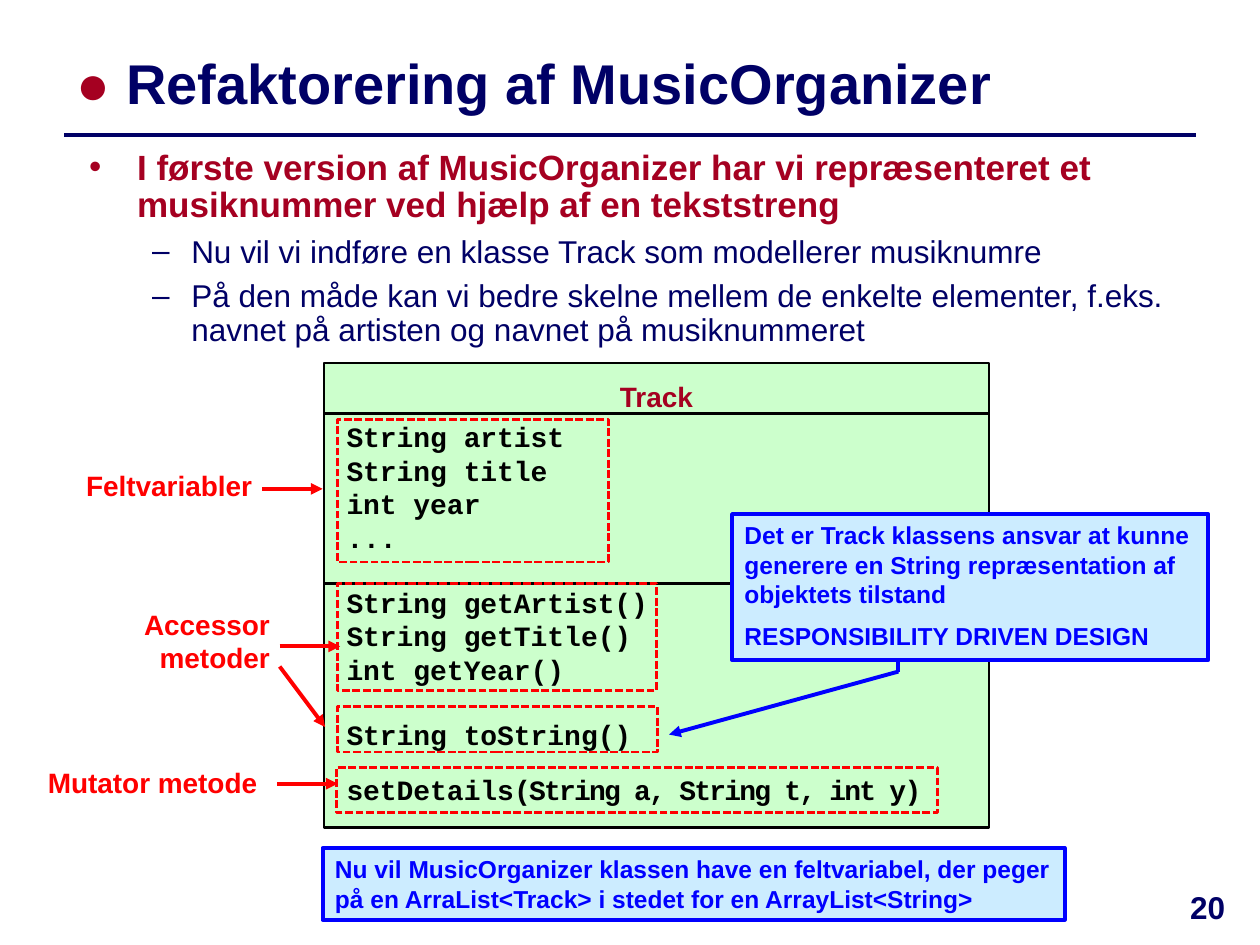
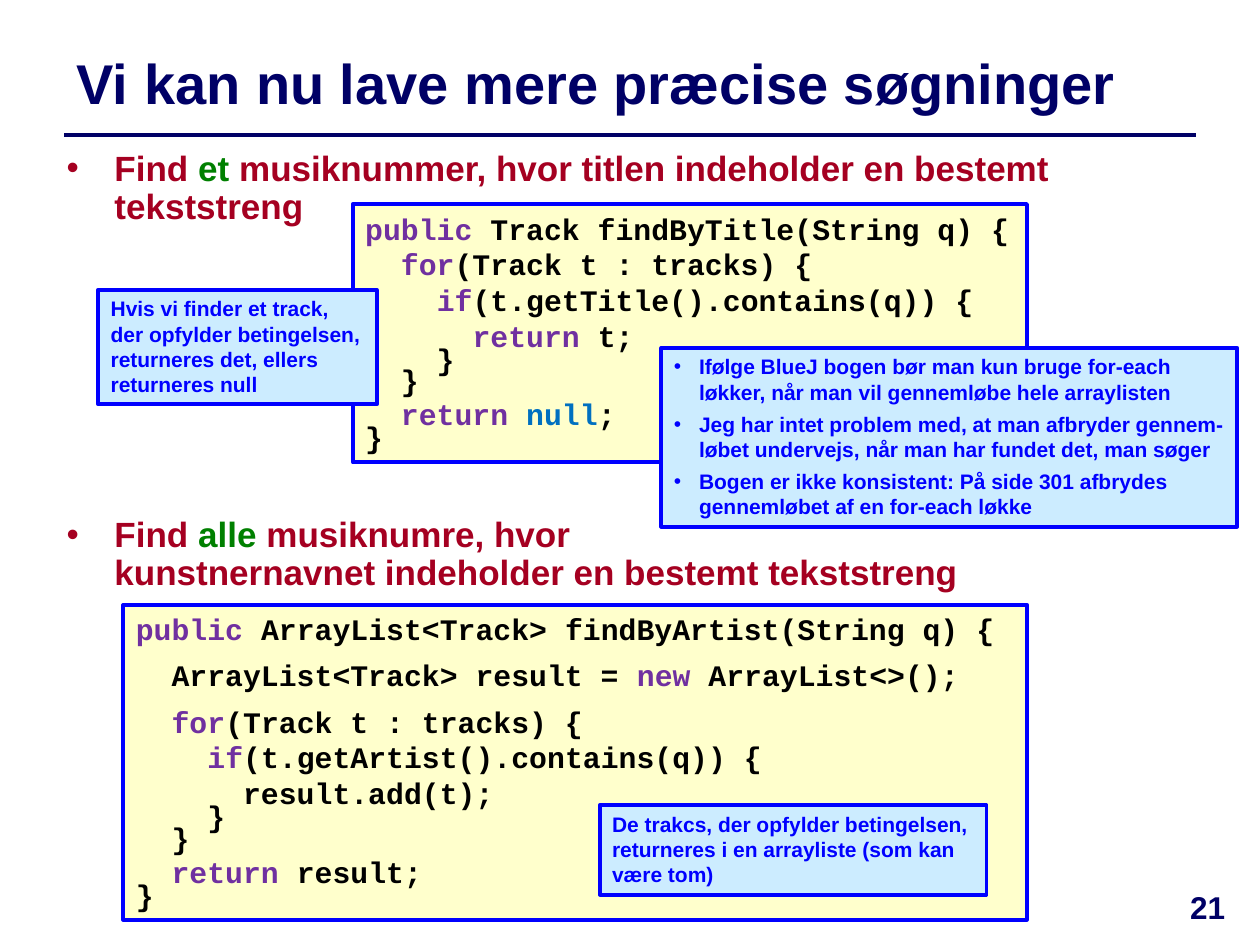
from dataclasses import dataclass

from lxml.etree import SubElement
from pptx import Presentation
from pptx.dml.color import RGBColor
from pptx.enum.dml import MSO_LINE
from pptx.enum.shapes import MSO_CONNECTOR, MSO_SHAPE
from pptx.enum.text import MSO_ANCHOR, PP_ALIGN
from pptx.oxml.ns import qn
from pptx.util import Inches, Pt

COLORS = {
    "navy": "000066", "crimson": "A50021", "green": "008000",
    "black": "000000", "red": "FF0000", "blue": "0000FF",
    "class": "CCFFCC", "code": "FFFFCC", "callout": "CCECFF",
    "keyword": "7030A0", "literal": "0070C0",
}
# Pieces of text between bars that take their own colour
ACCENTS = {
    "●": "crimson", "et": "green", "alle": "green", "null": "literal",
    **dict.fromkeys(["public", "for", "if", "return", "new"], "keyword"),
}

# The slide is a grid of 100 columns and 75 rows
SLIDE_WIDTH, SLIDE_HEIGHT = Inches(10), Inches(7.5)
COLUMN, ROW = SLIDE_WIDTH / 100, SLIDE_HEIGHT / 75


@dataclass
class Box:
    """A region in columns and rows."""
    left: float
    top: float
    width: float
    height: float

    def inner(self, left, top, width, height):
        return Box(self.left + left, self.top + top, width, height)

    def point(self, column, row):
        return round((self.left + column) * COLUMN), round((self.top + row) * ROW)

    def frame(self):
        return (*self.point(0, 0), round(self.width * COLUMN), round(self.height * ROW))


@dataclass
class Style:
    """Look of one paragraph; hang and indent are in columns."""
    size: float
    color: str
    bold: bool = True
    font: str = "Arial"
    align: PP_ALIGN = PP_ALIGN.LEFT
    spacing: float = 1.0
    before: float = 0
    bullet: str = ""
    indent: float = 0
    hang: float = 0


TITLE = Style(32, "navy")
NUMBER = Style(18, "navy", align=PP_ALIGN.CENTER)
HEADING = Style(20, "crimson", spacing=0.9, bullet="•", indent=3.8, hang=3.8)
DETAIL = Style(18, "navy", bold=False, spacing=0.9, before=6, bullet="–", indent=8.1, hang=3.1)
LABEL = Style(16, "red", align=PP_ALIGN.RIGHT)
CLASS_NAME = Style(16, "crimson", align=PP_ALIGN.CENTER, spacing=1.3)
CALLOUT = Style(14, "blue", before=7)
NOTE = Style(12, "blue", before=4)
NOTE_LIST = Style(12, "blue", before=4, bullet="•", indent=2, hang=2)


def member_style(before=0):
    return Style(16, "black", font="Courier New", before=before)


def code_style(line, before=0):
    spacing = 0.6 if line.strip() == "}" else 1.0
    return Style(17, "black", font="Courier New", spacing=spacing, before=before)


def rgb(name):
    return RGBColor.from_string(COLORS[name])


def add_bullet(paragraph, style):
    properties = paragraph._p.get_or_add_pPr()
    properties.set("marL", str(round(style.indent * COLUMN)))
    properties.set("indent", str(round(-style.hang * COLUMN)))
    SubElement(properties, qn("a:buFont")).set("typeface", "Arial")
    SubElement(properties, qn("a:buChar")).set("char", style.bullet)


def write(shape, paragraphs, anchor=MSO_ANCHOR.TOP):
    """Fill a shape with (text, style) pairs, run by run."""
    text_frame = shape.text_frame
    text_frame.word_wrap = True
    text_frame.vertical_anchor = anchor
    for index, (text, style) in enumerate(paragraphs):
        paragraph = text_frame.add_paragraph() if index else text_frame.paragraphs[0]
        if style.bullet:
            add_bullet(paragraph, style)
        paragraph.alignment = style.align
        paragraph.line_spacing = style.spacing
        paragraph.space_before = Pt(style.before if index else 0)
        for line_index, line in enumerate(text.split("\n")):
            if line_index:
                paragraph.add_line_break()
            for piece in filter(None, line.split("|")):
                run = paragraph.add_run()
                run.text = piece
                run.font.name = style.font
                run.font.size = Pt(style.size)
                run.font.bold = style.bold
                run.font.color.rgb = rgb(ACCENTS.get(piece.strip(), style.color))


def add_text(slide, box, paragraphs, anchor=MSO_ANCHOR.TOP):
    write(slide.shapes.add_textbox(*box.frame()), paragraphs, anchor)


def add_panel(slide, box, paragraphs=(), fill=None, line="blue", weight=2.25):
    """Rectangle with text, or a dashed outline when it has no fill."""
    shape = slide.shapes.add_shape(MSO_SHAPE.RECTANGLE, *box.frame())
    shape.shadow.inherit = False
    shape.line.color.rgb = rgb(line)
    shape.line.width = Pt(weight)
    if fill:
        shape.fill.solid()
        shape.fill.fore_color.rgb = rgb(fill)
    else:
        shape.fill.background()
        shape.line.dash_style = MSO_LINE.SQUARE_DOT
    write(shape, paragraphs)
    return shape


def add_line(slide, start, end, color, weight=2.25, arrow=False):
    connector = slide.shapes.add_connector(MSO_CONNECTOR.STRAIGHT, *start, *end)
    connector.line.color.rgb = rgb(color)
    connector.line.width = Pt(weight)
    if arrow:
        outline = connector._element.spPr.find(qn("a:ln"))
        SubElement(outline, qn("a:tailEnd")).set("type", "triangle")
    SubElement(connector._element.spPr, qn("a:effectLst"))


def add_base_slide(presentation, title, number):
    """Blank slide with title, rule and slide number."""
    slide = presentation.slides.add_slide(presentation.slide_layouts[6])
    page = Box(0, 0, 100, 75)
    add_line(slide, page.point(5.1, 10.7), page.point(94.9, 10.7), "navy", 2)
    add_text(slide, page.inner(5.1, 2.8, 93.1, 7.5), [(title, TITLE)], MSO_ANCHOR.MIDDLE)
    add_text(slide, page.inner(91.7, 70, 8.3, 5), [(str(number), NUMBER)])
    return slide


def add_class_diagram(slide, box):
    """Track class with dashed member groups and their labels."""
    class_left, class_width = 23.7, 52.8
    add_panel(slide, box.inner(class_left, 0.8, class_width, 5.1),
              [("Track", CLASS_NAME)], "class", "black", 1.5)
    members = [
        ("String artist", 0), ("String title", 0), ("int year", 0), ("...", 0),
        ("String getArtist()", 18), ("String getTitle()", 0), ("int getYear()", 0),
        ("String toString()", 18), ("setDetails|(String a, String t, int y)", 12),
    ]
    body = add_panel(slide, box.inner(class_left, 4.8, class_width, 32.9),
                     [(text, member_style(before)) for text, before in members],
                     "class", "black", 1.5)
    body.text_frame.margin_left = round(1.8 * COLUMN)
    parameters = body.text_frame.paragraphs[-1].runs[-1]
    parameters._r.get_or_add_rPr().set("spc", "-100")
    add_line(slide, box.point(class_left, 18.3),
             box.point(class_left + class_width, 18.3), "black", 1.5)

    # Dashed outlines: fields, accessors, toString, mutator
    for outline in [(24.8, 5.3, 21.5, 11.3), (24.8, 18.3, 25.3, 8.5),
                    (24.8, 28.1, 25.4, 3.6), (24.7, 32.9, 47.7, 3.6)]:
        add_panel(slide, box.inner(*outline), line="red", weight=1.5)

    # Labels and arrows
    for text, place in [("Feltvariabler", (3.1, 8.7, 15.9, 3.7)),
                        ("Accessor metoder", (3.1, 19.7, 17.3, 6.4)),
                        ("Mutator metode", (0.2, 32.3, 19.2, 3.7))]:
        add_text(slide, box.inner(*place), [(text, LABEL)])
    for start, end in [((18.8, 10.8), (23.6, 10.8)), ((20.2, 23.3), (25, 23.3)),
                       ((20.2, 24.9), (23.8, 29.7)), ((20, 34.2), (24.8, 34.2))]:
        add_line(slide, box.point(*start), box.point(*end), "red", arrow=True)


def add_responsibility_callout(slide, box):
    """Callout whose bent pointer leads to toString."""
    bend = box.point(18.3, 12.5)
    add_line(slide, bend, box.point(0.1, 17.5), "blue", arrow=True)
    add_line(slide, box.point(18.3, 6.7), bend, "blue")
    add_panel(slide, box.inner(5.1, 0, 37.8, 11.6), [
        ("Det er Track klassens ansvar at kunne generere en String "
         "repræsentation af objektets tilstand", CALLOUT),
        ("RESPONSIBILITY DRIVEN DESIGN", CALLOUT),
    ], "callout")


def add_search(slide, box, heading, code_place, code, notes):
    """Heading, code panel and the notes lying on top of it."""
    add_text(slide, box, [(heading, HEADING)])
    add_panel(slide, box.inner(*code_place),
              [(line, code_style(line, before)) for line, before in code], "code")
    for place, style, texts in notes:
        add_panel(slide, box.inner(*place), [(text, style) for text in texts], "callout")


def build_refactoring_slide(presentation):
    slide = add_base_slide(presentation, "● |Refaktorering af MusicOrganizer", 20)
    add_text(slide, Box(6.1, 11.4, 94.1, 16.6), [
        ("I første version af MusicOrganizer har vi repræsenteret et "
         "musiknummer ved hjælp af en tekststreng", HEADING),
        ("Nu vil vi indføre en klasse Track som modellerer musiknumre", DETAIL),
        ("På den måde kan vi bedre skelne mellem de enkelte elementer, f.eks. "
         "navnet på artisten og navnet på musiknummeret", DETAIL),
    ])
    add_class_diagram(slide, Box(2, 28, 76.5, 38))
    add_responsibility_callout(slide, Box(53, 40.8, 43, 17.6))
    add_panel(slide, Box(25.6, 67.3, 58.9, 5.7), [
        ("Nu vil MusicOrganizer klassen have en feltvariabel, der peger på en "
         "ArraList<Track> i stedet for en ArrayList<String>", CALLOUT),
    ], "callout")


def build_search_slide(presentation):
    slide = add_base_slide(presentation, "Vi kan nu lave mere præcise søgninger", 21)

    # All tracks by artist
    add_search(
        slide, Box(4.3, 40.6, 81.1, 6.3),
        "Find |alle| musiknumre, hvor\nkunstnernavnet indeholder en bestemt tekststreng",
        (5.5, 7.4, 71.7, 25),
        [("|public| ArrayList<Track> findByArtist(String q) {", 0),
         ("  ArrayList<Track> result = |new| ArrayList<>();", 6),
         ("  |for|(Track t : tracks) {", 6),
         ("    |if|(t.getArtist().contains(q)) {", 0),
         ("      result.add(t);", 0),
         ("    }", 0),
         ("  }", 0),
         ("  |return| result;", 0),
         ("}", 0)],
        [((43.3, 23.3, 30.7, 7.1), NOTE,
          ["De trakcs, der opfylder betingelsen, returneres i en arrayliste "
           "(som kan være tom)"])])

    # One track by title
    add_search(
        slide, Box(4.3, 11.5, 94.9, 8.7),
        "Find |et| musiknummer, hvor titlen indeholder en bestemt tekststreng",
        (23.7, 4.7, 53.5, 20.5),
        [("|public| Track findByTitle(String q) {", 0),
         ("  |for|(Track t : tracks) {", 0),
         ("    |if|(t.getTitle().contains(q)) {", 0),
         ("      |return| t;", 0),
         ("    }", 0),
         ("  }", 0),
         ("  |return| |null|;", 0),
         ("}", 0)],
        [((48.2, 16.1, 45.7, 14.2), NOTE_LIST,
          ["Ifølge BlueJ bogen bør man kun bruge for-each løkker, når man vil "
           "gennemløbe hele arraylisten",
           "Jeg har intet problem med, at man afbryder gennem-løbet undervejs, "
           "når man har fundet det, man søger",
           "Bogen er ikke konsistent: På side 301 afbrydes gennemløbet af en "
           "for-each løkke"]),
         ((3.5, 11.5, 22.1, 9.1), NOTE,
          ["Hvis vi finder et track, der opfylder betingelsen, returneres det, "
           "ellers returneres null"])])


def main():
    presentation = Presentation()
    presentation.slide_width, presentation.slide_height = SLIDE_WIDTH, SLIDE_HEIGHT
    build_refactoring_slide(presentation)
    build_search_slide(presentation)
    presentation.save("out.pptx")


if __name__ == "__main__":
    main()
